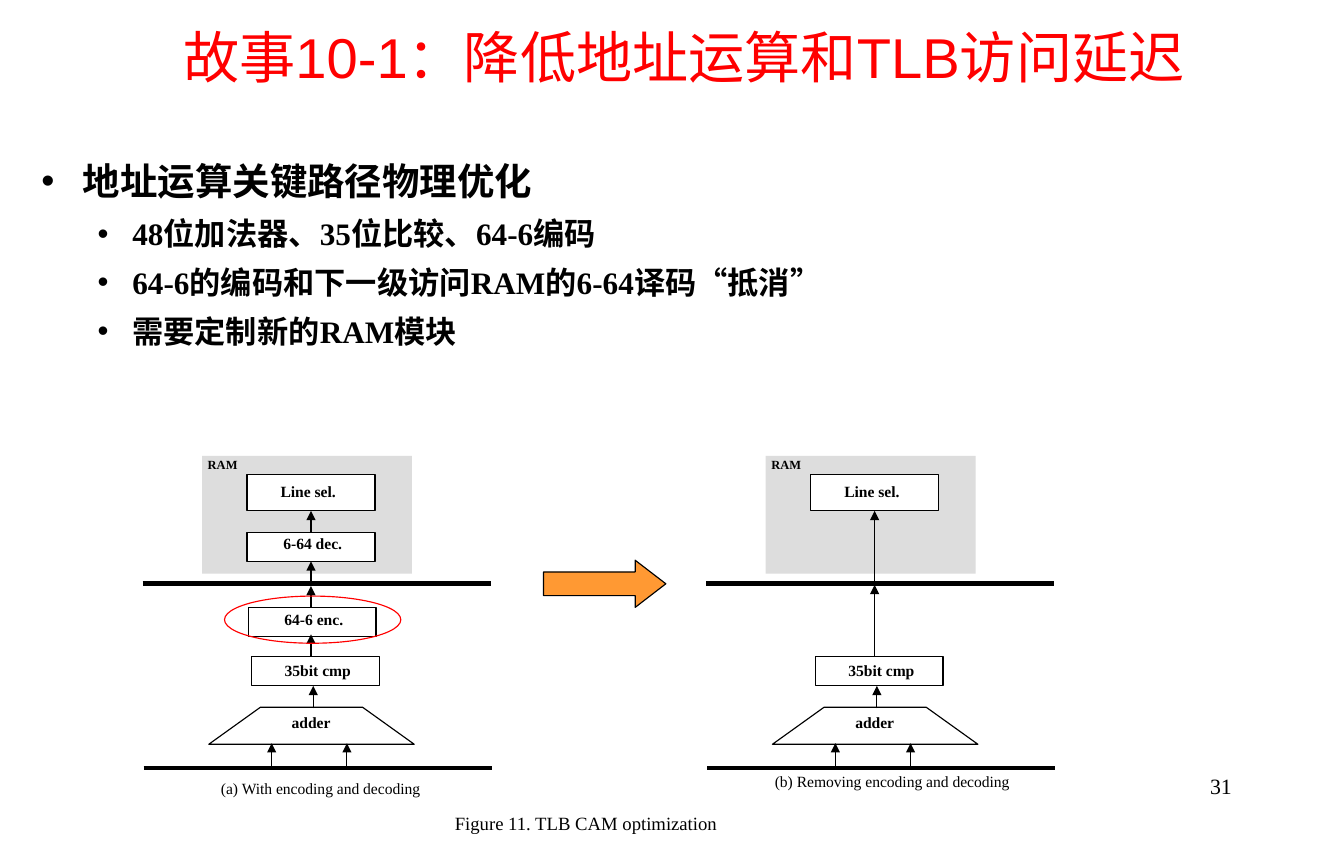
from lxml import etree
from pptx import Presentation
from pptx.dml.color import RGBColor
from pptx.enum.shapes import MSO_CONNECTOR, MSO_SHAPE
from pptx.enum.text import MSO_ANCHOR, PP_ALIGN
from pptx.oxml.ns import qn
from pptx.util import Inches, Pt

BLACK = RGBColor(0x00, 0x00, 0x00)
WHITE = RGBColor(0xFF, 0xFF, 0xFF)
RED = RGBColor(0xFF, 0x00, 0x00)
GRAY = RGBColor(0xDD, 0xDD, 0xDD)
ORANGE = RGBColor(0xFF, 0x99, 0x33)
LEFT, CENTER, RIGHT = PP_ALIGN.LEFT, PP_ALIGN.CENTER, PP_ALIGN.RIGHT
TOP, MIDDLE = MSO_ANCHOR.TOP, MSO_ANCHOR.MIDDLE
RECTANGLE, OVAL, ARROW = MSO_SHAPE.RECTANGLE, MSO_SHAPE.OVAL, MSO_SHAPE.RIGHT_ARROW
STRAIGHT = MSO_CONNECTOR.STRAIGHT

presentation = Presentation()
presentation.slide_width = Inches(11.97)
presentation.slide_height = Inches(7.5)
slide = presentation.slides.add_slide(presentation.slide_layouts[5])
shapes = slide.shapes


def write_text(shape, text, size=10, bold=False, color=BLACK, font="Times New Roman",
               align=CENTER, anchor=TOP, inset=(0, 0), bullet=None, space_before=0):
    """Add a formatted paragraph; bullet is (level, left margin, hanging indent)."""
    frame = shape.text_frame
    frame.word_wrap = True
    frame.vertical_anchor = anchor
    frame.margin_left = frame.margin_right = Inches(inset[0])
    frame.margin_top = frame.margin_bottom = Inches(inset[1])
    paragraph = frame.paragraphs[0] if not frame.text else frame.add_paragraph()
    paragraph.alignment = align
    if bullet:
        level, margin, hanging = bullet
        paragraph.level = level
        properties = paragraph._p.get_or_add_pPr()
        properties.set("marL", str(Inches(margin)))
        properties.set("indent", str(-Inches(hanging)))
        etree.SubElement(properties, qn("a:buFont")).set("typeface", "Arial")
        etree.SubElement(properties, qn("a:buChar")).set("char", "•")
        paragraph.line_spacing = 1.1
        paragraph.space_before = Pt(space_before)
    run = paragraph.add_run()
    run.text = text
    run.font.name = font
    run.font.size = Pt(size)
    run.font.bold = bold
    run.font.color.rgb = color


def add_line(start, end, width=0.75, arrow=False):
    line = shapes.add_connector(STRAIGHT, *(Inches(value) for value in start + end))
    line.line.color.rgb = BLACK
    line.line.width = Pt(width)
    if arrow:
        etree.SubElement(line.line._get_or_add_ln(), qn("a:tailEnd")).set("type", "triangle")
    etree.SubElement(line._element.spPr, qn("a:effectLst"))


# Title
title = shapes.title
title.left, title.top, title.width, title.height = Inches(0.27), 0, Inches(11.64), Inches(1)
write_text(title, "故事10-1：降低地址运算和TLB访问延迟", size=36, color=RED, font="Arial",
           anchor=MIDDLE, inset=(0.1, 0.05))

# Bullets
body = shapes.add_textbox(Inches(0.27), Inches(1.32), Inches(11.32), Inches(2.18))
write_text(body, "地址运算关键路径物理优化", size=24, bold=True, align=LEFT,
           inset=(0.1, 0.05), bullet=(0, 0.37, 0.37))
for point in ("48位加法器、35位比较、64-6编码",
              "64-6的编码和下一级访问RAM的6-64译码“抵消”",
              "需要定制新的RAM模块"):
    write_text(body, point, size=20, bold=True, align=LEFT, inset=(0.1, 0.05),
               bullet=(1, 0.81, 0.31), space_before=5)

# Parts of the diagrams, placed for diagram (a): left, top, width, height
shared_boxes = [(1.8, 4.06, 1.87, 1.05, GRAY), (2.2, 4.23, 1.14, 0.32, WHITE),
                (2.24, 5.85, 1.14, 0.26, WHITE)]
coding_boxes = [(2.2, 4.74, 1.14, 0.26, WHITE), (2.21, 5.41, 1.14, 0.26, WHITE)]
shared_labels = [("Line sel.", 2.25, 4.29, 0.99, 0.21), ("35bit cmp", 2.4, 5.89, 0.86, 0.17),
                 ("adder", 2.48, 6.35, 0.58, 0.21)]
coding_labels = [("6-64 dec.", 2.4, 4.76, 0.77, 0.19), ("64-6 enc.", 2.41, 5.43, 0.77, 0.19)]
shared_arrows = [(2.79, 6.31, 6.11), (2.42, 6.82, 6.62), (3.09, 6.82, 6.62)]
coding_arrows = [(2.77, 5.84, 5.65), (2.77, 5.41, 5.22), (2.77, 5.19, 5), (2.77, 4.74, 4.55)]
direct_arrows = [(2.77, 5.84, 5.21), (2.77, 5.19, 4.55)]

diagrams = [
    (0, shared_boxes + coding_boxes, shared_labels + coding_labels,
     shared_arrows + coding_arrows),
    (5.02, shared_boxes, shared_labels, shared_arrows + direct_arrows),
]
for shift, boxes, labels, arrows in diagrams:
    # Pipeline stage boundaries
    for left, top in ((1.27, 5.2), (1.28, 6.84)):
        add_line((left + shift, top), (left + shift + 3.1, top), width=3)

    # RAM area and logic blocks
    for left, top, width, height, fill in boxes:
        box = shapes.add_shape(RECTANGLE, Inches(left + shift), Inches(top),
                               Inches(width), Inches(height))
        box.shadow.inherit = False
        box.fill.solid()
        box.fill.fore_color.rgb = fill
        if fill == GRAY:
            box.line.fill.background()
        else:
            box.line.color.rgb = BLACK
            box.line.width = Pt(0.75)

    # Adder trapezoid
    builder = shapes.build_freeform(Inches(1.86 + shift), Inches(6.63))
    corners = [(3.69, 6.63), (3.23, 6.3), (2.32, 6.3)]
    builder.add_line_segments([(Inches(x + shift), Inches(y)) for x, y in corners])
    adder = builder.convert_to_shape()
    adder.shadow.inherit = False
    adder.fill.solid()
    adder.fill.fore_color.rgb = WHITE
    adder.line.color.rgb = BLACK
    adder.line.width = Pt(0.75)

    # Data flow, from bottom to top
    for x, start, end in arrows:
        add_line((x + shift, start), (x + shift, end), arrow=True)

    # Labels
    for text, left, top, width, height in labels:
        label = shapes.add_textbox(Inches(left + shift), Inches(top),
                                   Inches(width), Inches(height))
        write_text(label, text, bold=True)
    ram_label = shapes.add_textbox(Inches(1.85 + shift), Inches(4.07), Inches(0.52), Inches(0.17))
    write_text(ram_label, "RAM", size=8, bold=True, align=LEFT)

# Highlight around the encoder
highlight = shapes.add_shape(OVAL, Inches(2), Inches(5.31), Inches(1.57), Inches(0.42))
highlight.shadow.inherit = False
highlight.fill.background()
highlight.line.color.rgb = RED
highlight.line.width = Pt(0.75)

# Arrow between the diagrams
transition = shapes.add_shape(ARROW, Inches(4.84), Inches(4.99), Inches(1.09), Inches(0.42))
transition.adjustments[1] = 0.65
transition.shadow.inherit = False
transition.fill.solid()
transition.fill.fore_color.rgb = ORANGE
transition.line.color.rgb = BLACK
transition.line.width = Pt(0.75)

# Captions
for text, left, top, width, size in (
        ("(a) With encoding and decoding", 1.56, 6.94, 2.59, 10),
        ("(b) Removing encoding and decoding", 6.64, 6.88, 2.61, 10),
        ("Figure 11. TLB CAM optimization", 3.55, 7.23, 3.34, 12)):
    caption = shapes.add_textbox(Inches(left), Inches(top), Inches(width), Inches(0.26))
    write_text(caption, text, size=size)

# Slide number
number = shapes.add_textbox(Inches(8.58), Inches(6.83), Inches(2.49), Inches(0.49))
write_text(number, "31", size=14, align=RIGHT, inset=(0.1, 0.05))

presentation.save("out.pptx")
